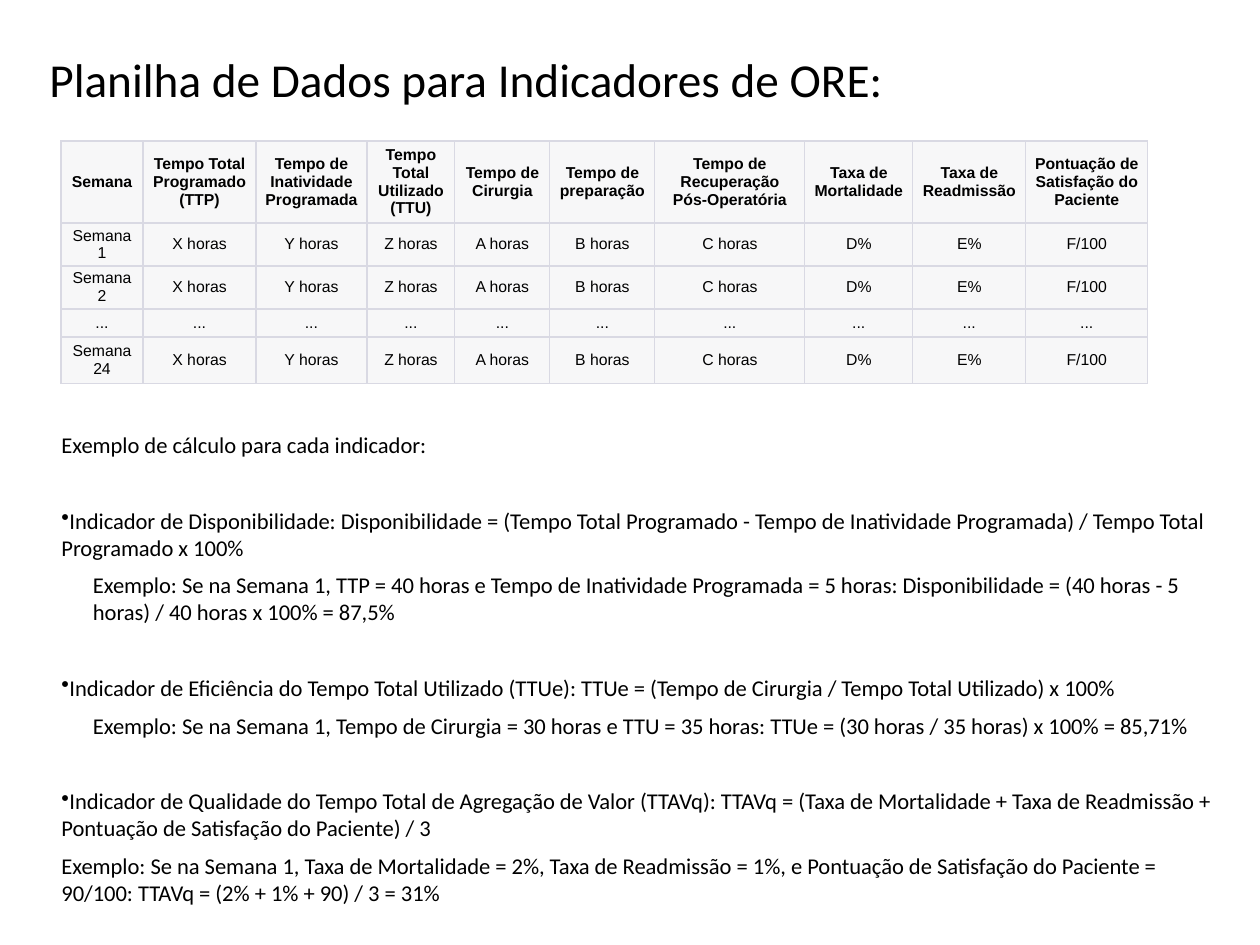
"""Build the ORE indicator data sheet slide."""
import pptx
import pptx.dml.color
import pptx.enum.text
import pptx.oxml
import pptx.oxml.ns
import pptx.util

COLORS = {"text": "000000", "cell": "F7F7F8", "border": "D9D9E3"}
SLIDE_SIZE = (1260, 945)
TITLE_BOX = (37, 25, 1086, 231)
BODY_BOX = (49, 417, 1176, 503)
TABLE_ORIGIN = (61, 141)
COLUMN_WIDTHS = [82, 113, 111, 88, 95, 105, 150, 108, 113, 122]
ROW_HEIGHTS = [82, 28, 28, 28, 47]

TITLE = "Planilha de Dados para Indicadores de ORE:"
HEADERS = [
    "Semana", "Tempo Total Programado (TTP)", "Tempo de Inatividade Programada",
    "Tempo Total Utilizado (TTU)", "Tempo de Cirurgia", "Tempo de preparação",
    "Tempo de Recuperação Pós-Operatória", "Taxa de Mortalidade",
    "Taxa de Readmissão", "Pontuação de Satisfação do Paciente",
]
WEEK_VALUES = ["X horas", "Y horas", "Z horas", "A horas", "B horas", "C horas",
               "D%", "E%", "F/100"]
ROWS = [
    HEADERS,
    ["Semana 1"] + WEEK_VALUES,
    ["Semana 2"] + WEEK_VALUES,
    ["..."] * len(HEADERS),
    ["Semana 24"] + WEEK_VALUES,
]
BODY = [
    ("plain", "Exemplo de cálculo para cada indicador:"),
    ("bullet", "Indicador de Disponibilidade: Disponibilidade = (Tempo Total Programado - "
               "Tempo de Inatividade Programada) / Tempo Total Programado x 100%"),
    ("indented", "Exemplo: Se na Semana 1, TTP = 40 horas e Tempo de Inatividade Programada = "
                 "5 horas: Disponibilidade = (40 horas - 5 horas) / 40 horas x 100% = 87,5%"),
    ("bullet", "Indicador de Eficiência do Tempo Total Utilizado (TTUe): TTUe = "
               "(Tempo de Cirurgia / Tempo Total Utilizado) x 100%"),
    ("indented", "Exemplo: Se na Semana 1, Tempo de Cirurgia = 30 horas e TTU = 35 horas: "
                 "TTUe = (30 horas / 35 horas) x 100% = 85,71%"),
    ("bullet", "Indicador de Qualidade do Tempo Total de Agregação de Valor (TTAVq): TTAVq = "
               "(Taxa de Mortalidade + Taxa de Readmissão + Pontuação de Satisfação do "
               "Paciente) / 3"),
    ("plain", "Exemplo: Se na Semana 1, Taxa de Mortalidade = 2%, Taxa de Readmissão = 1%, e "
              "Pontuação de Satisfação do Paciente = 90/100: TTAVq = (2% + 1% + 90) / 3 = 31%"),
]


def px(length):
    return pptx.util.Emu(round(length * 914400 / 126))


def rgb(name):
    return pptx.dml.color.RGBColor.from_string(COLORS[name])


def add_run(paragraph, text, font_name, size, bold=False):
    run = paragraph.add_run()
    run.text = text
    run.font.name = font_name
    run.font.size = pptx.util.Pt(size)
    run.font.bold = bold
    run.font.color.rgb = rgb("text")


def add_text_frame(slide, box, anchor):
    frame = slide.shapes.add_textbox(*map(px, box)).text_frame
    frame.word_wrap = True
    frame.vertical_anchor = anchor
    return frame


def add_title(slide):
    frame = add_text_frame(slide, TITLE_BOX, pptx.enum.text.MSO_ANCHOR.TOP)
    frame.margin_top = px(32)
    paragraph = frame.paragraphs[0]
    paragraph.line_spacing = 0.9
    add_run(paragraph, TITLE, "Calibri", 27)


def add_body(slide):
    frame = add_text_frame(slide, BODY_BOX, pptx.enum.text.MSO_ANCHOR.MIDDLE)
    for index, (kind, text) in enumerate(BODY):
        paragraph = frame.add_paragraph() if index else frame.paragraphs[0]
        paragraph.space_after = pptx.util.Pt(6)
        properties = paragraph._p.get_or_add_pPr()
        if kind == "bullet":
            paragraph.space_before = pptx.util.Pt(21.75)
            properties.set("marL", "0")
            properties.set("indent", str(-pptx.util.Inches(0.25)))
            bullet = pptx.oxml.parse_xml(
                f'<a:buChar {pptx.oxml.ns.nsdecls("a")} char="•"/>')
            properties.append(bullet)
        elif kind == "indented":
            paragraph.level = 1
            properties.set("marL", str(pptx.util.Inches(0.25)))
            properties.set("indent", "0")
        add_run(paragraph, text, "Calibri", 12.9)


def set_borders(cell):
    properties = cell._tc.get_or_add_tcPr()
    for index, (side, width) in enumerate([("L", 0.75), ("R", 0.75), ("T", 1), ("B", 1)]):
        line = pptx.oxml.parse_xml(
            f'<a:ln{side} {pptx.oxml.ns.nsdecls("a")} w="{pptx.util.Pt(width)}">'
            f'<a:solidFill><a:srgbClr val="{COLORS["border"]}"/></a:solidFill></a:ln{side}>')
        properties.insert(index, line)


def add_data_table(slide):
    size = (sum(COLUMN_WIDTHS), sum(ROW_HEIGHTS))
    table = slide.shapes.add_table(
        len(ROWS), len(HEADERS), *map(px, TABLE_ORIGIN + size)).table
    table.first_row = table.horz_banding = False
    for column, width in zip(table.columns, COLUMN_WIDTHS):
        column.width = px(width)
    for row_index, (row, height) in enumerate(zip(table.rows, ROW_HEIGHTS)):
        row.height = px(height)
        for cell, text in zip(row.cells, ROWS[row_index]):
            cell.fill.solid()
            cell.fill.fore_color.rgb = rgb("cell")
            cell.vertical_anchor = pptx.enum.text.MSO_ANCHOR.MIDDLE
            cell.margin_left = cell.margin_right = pptx.util.Inches(0.05)
            cell.margin_top = cell.margin_bottom = pptx.util.Inches(0.02)
            set_borders(cell)
            paragraph = cell.text_frame.paragraphs[0]
            paragraph.alignment = pptx.enum.text.PP_ALIGN.CENTER
            add_run(paragraph, text, "Arial", 9, bold=row_index == 0)


def main():
    presentation = pptx.Presentation()
    presentation.slide_width, presentation.slide_height = map(px, SLIDE_SIZE)
    slide = presentation.slides.add_slide(presentation.slide_layouts[6])
    add_title(slide)
    add_body(slide)
    add_data_table(slide)
    presentation.save("out.pptx")


if __name__ == "__main__":
    main()
